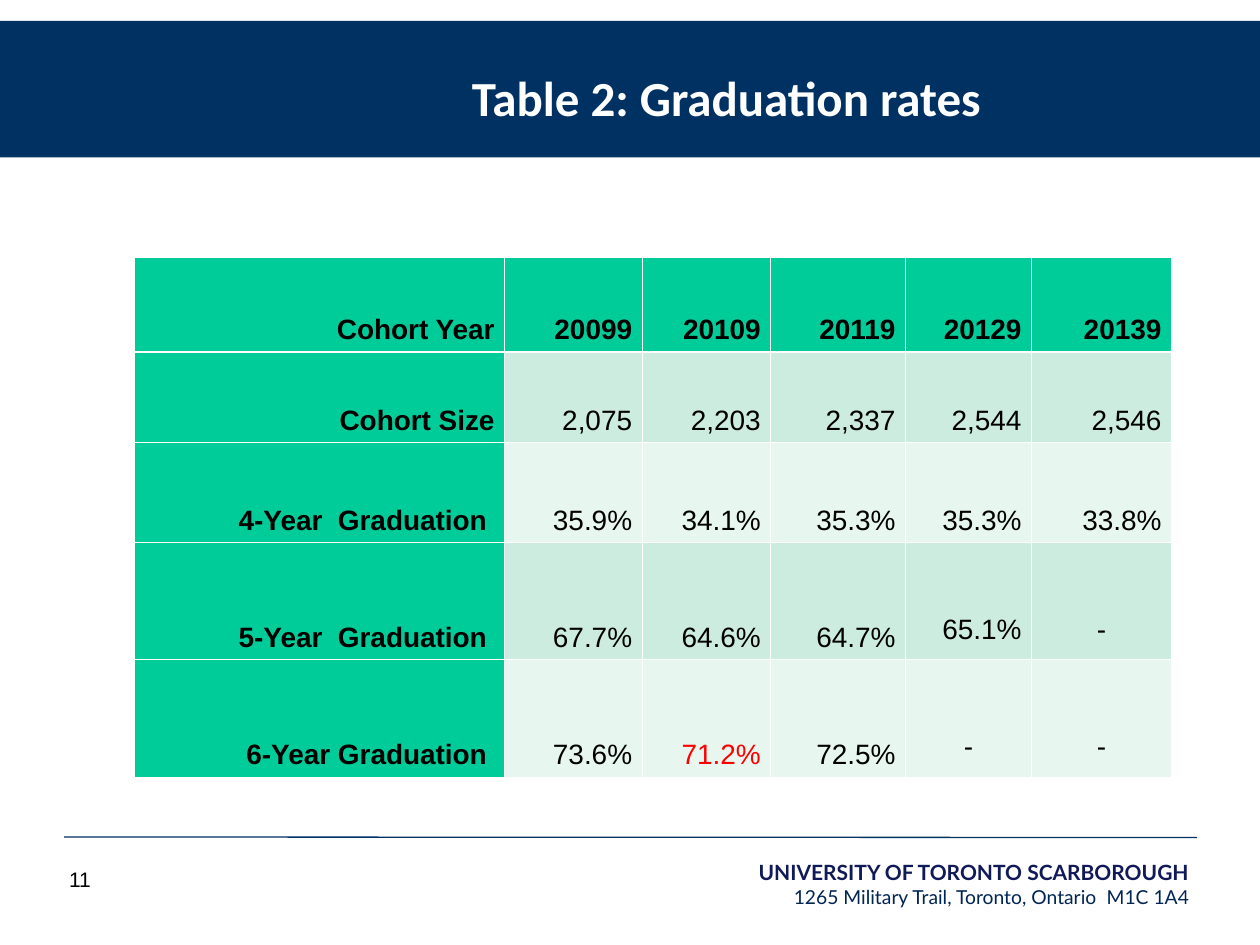
from lxml.etree import SubElement
from pptx import Presentation
from pptx.dml.color import RGBColor
from pptx.enum.shapes import MSO_CONNECTOR as CONN, MSO_SHAPE as SHAPE
from pptx.enum.text import MSO_ANCHOR as ANCHOR, PP_ALIGN as ALIGN
from pptx.oxml.ns import qn
from pptx.util import Pt

NAVY, GREEN, MINT, PALE = "003163", "00CC99", "CBECDE", "E7F6EF"
WHITE, BLACK, RED = "FFFFFF", "000000", "FF0000"
COLS = [211.5, 78.5, 73.5, 77, 72, 80]
ROWS = [54, 52, 57, 67, 67]
RATES = [
    ["Cohort Year", "20099", "20109", "20119", "20129", "20139"],
    ["Cohort Size", "2,075", "2,203", "2,337", "2,544", "2,546"],
    ["4-Year  Graduation ", "35.9%", "34.1%", "35.3%", "35.3%", "33.8%"],
    ["5-Year  Graduation ", "67.7%", "64.6%", "64.7%", "65.1%", "-"],
    ["6-Year Graduation ", "73.6%", "71.2%", "72.5%", "-", "-"],
]
RAISED = {(3, 4), (3, 5), (4, 4), (4, 5)}


def rgb(color):
    """Turn a hex string into a colour."""
    return RGBColor.from_string(color)


def add_run(p, text, size, font="Arial", color=BLACK, bold=False):
    """Add one formatted run to a paragraph."""
    r = p.add_run()
    r.text = text
    r.font.name, r.font.size, r.font.bold = font, Pt(size), bold
    r.font.color.rgb = rgb(color)


def set_insets(box, left, top, right, bottom):
    """Set the margins of a text frame or a cell."""
    box.margin_left, box.margin_top = Pt(left), Pt(top)
    box.margin_right, box.margin_bottom = Pt(right), Pt(bottom)


def add_title(s, text):
    """Move the title placeholder and fill it."""
    title = s.shapes.title
    title.left, title.top = Pt(180), Pt(6)
    title.width, title.height = Pt(470), Pt(66)
    tf = title.text_frame
    tf.word_wrap = True
    tf.vertical_anchor = ANCHOR.BOTTOM
    set_insets(tf, 7.2, 3.6, 7.2, 0)
    p = tf.paragraphs[0]
    p.alignment = ALIGN.CENTER
    add_run(p, text, 28, "Calibri", WHITE, True)


def add_band(s):
    """Add the header band behind the title."""
    sp = s.shapes.add_shape(SHAPE.RECTANGLE, 0, Pt(12), Pt(720), Pt(78))
    sp.shadow.inherit = False
    sp.fill.solid()
    sp.fill.fore_color.rgb = rgb(NAVY)
    sp.line.fill.background()
    s.shapes.title.element.addprevious(sp.element)


def add_rule(s):
    """Add the thin line above the footer."""
    cn = s.shapes.add_connector(CONN.STRAIGHT, Pt(36.7), Pt(478.3), Pt(684), Pt(478.6))
    cn.line.color.rgb = rgb(NAVY)
    cn.line.width = Pt(0.75)
    SubElement(cn.element.spPr, qn("a:effectLst"))


def add_text(s, left, top, width, height):
    """Add a text box and return its text frame."""
    tf = s.shapes.add_textbox(Pt(left), Pt(top), Pt(width), Pt(height)).text_frame
    tf.word_wrap = True
    return tf


def add_footer(s):
    """Add the university address and the page number."""
    tf = add_text(s, 156, 485.3, 523.5, 36.7)
    tf.vertical_anchor = ANCHOR.MIDDLE
    set_insets(tf, 57.6, 5.8, 0, 2.9)
    p = tf.paragraphs[0]
    p.alignment = ALIGN.RIGHT
    add_run(p, "UNIVERSITY OF TORONTO SCARBOROUGH", 12, "Lato", "111A58", True)
    p.add_line_break()
    add_run(p, "1265 Military Trail, Toronto, Ontario \u00a0M1C 1A4", 11, "Lato", "002554")
    tf = add_text(s, 32.4, 491.8, 27.4, 21.6)
    tf.word_wrap = False
    add_run(tf.paragraphs[0], "11", 12)


def set_borders(cell, row):
    """Draw white cell borders, heavier below the header row."""
    heavy = {(0, "B"), (1, "T")}
    tc_pr = cell._tc.get_or_add_tcPr()
    for side in "LRTB":
        width = Pt(1.5 if (row, side) in heavy else 0.45)
        ln = SubElement(tc_pr, qn(f"a:ln{side}"), w=str(int(width)))
        fill = SubElement(ln, qn("a:solidFill"))
        SubElement(fill, qn("a:srgbClr"), val=WHITE)


def fill_cell(cell, row, col, text):
    """Format one table cell and write its text."""
    head = row == 0 or col == 0
    set_borders(cell, row)
    cell.fill.solid()
    cell.fill.fore_color.rgb = rgb(GREEN if head else MINT if row % 2 else PALE)
    cell.vertical_anchor = ANCHOR.BOTTOM
    set_insets(cell, 5.8, 3.6, 5.8, 8.2 if (row, col) in RAISED else 3.6)
    p = cell.text_frame.paragraphs[0]
    p.alignment = ALIGN.CENTER if text == "-" else ALIGN.RIGHT
    p.line_spacing = 1.07
    add_run(p, text, 16, color=RED if text == "71.2%" else BLACK, bold=head)


def add_rates(s):
    """Add the table of graduation rates."""
    table = s.shapes.add_table(len(ROWS), len(COLS), Pt(77), Pt(147),
                               Pt(sum(COLS)), Pt(sum(ROWS))).table
    for column, width in zip(table.columns, COLS):
        column.width = Pt(width)
    for row, height in enumerate(ROWS):
        table.rows[row].height = Pt(height)
        for col, text in enumerate(RATES[row]):
            fill_cell(table.cell(row, col), row, col, text)


def main():
    """Build and save the slide."""
    prs = Presentation()
    prs.slide_width, prs.slide_height = Pt(720), Pt(540)
    s = prs.slides.add_slide(prs.slide_layouts[5])
    add_title(s, "Table 2: Graduation rates")
    add_band(s)
    add_rule(s)
    add_rates(s)
    add_footer(s)
    prs.save("out.pptx")


if __name__ == "__main__":
    main()
